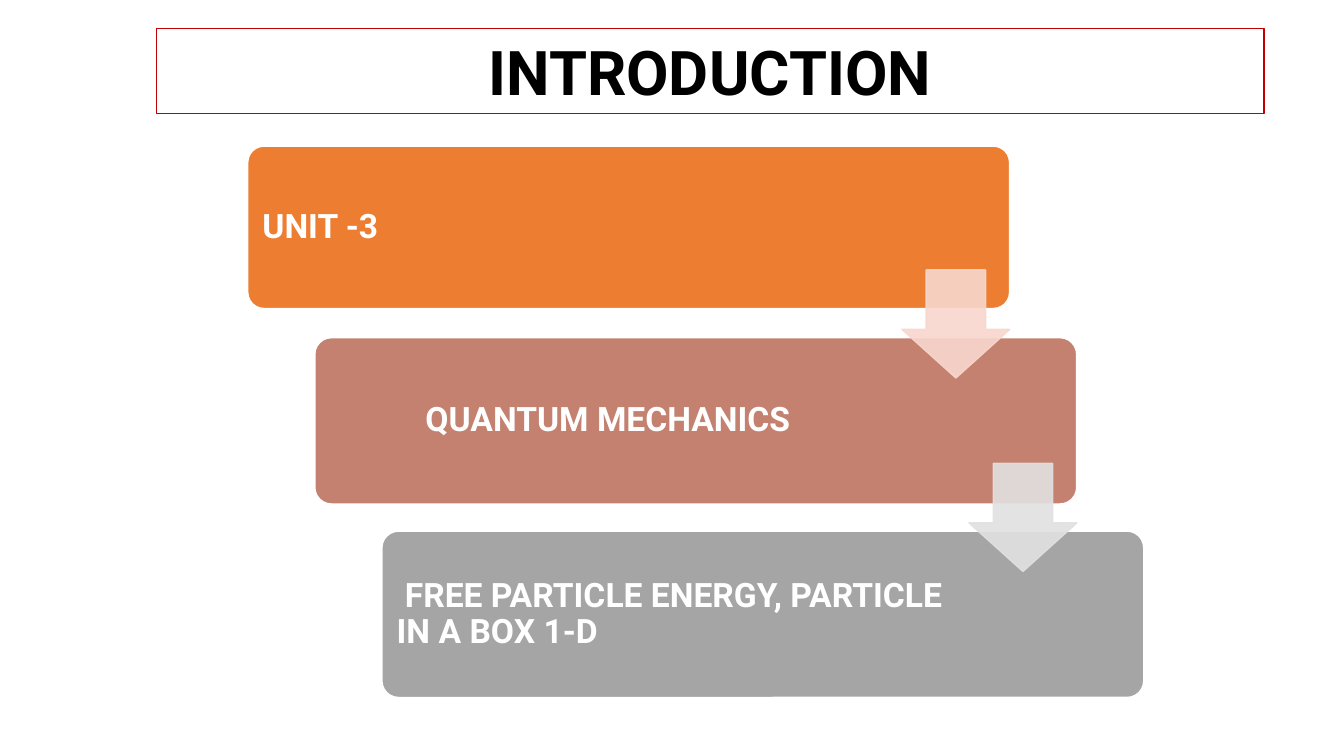
from dataclasses import dataclass

import pptx
import pptx.dml.color
import pptx.enum.shapes
import pptx.enum.text
import pptx.oxml
import pptx.oxml.ns
import pptx.util

Pt = pptx.util.Pt
RGB = pptx.dml.color.RGBColor.from_string
SHAPES = pptx.enum.shapes.MSO_SHAPE
ALIGN = pptx.enum.text.PP_ALIGN
MIDDLE = pptx.enum.text.MSO_ANCHOR.MIDDLE


@dataclass(frozen=True)
class Theme:
    font: str = "Roboto"
    title_size: float = 44
    card_size: float = 24
    title_text: str = "000000"
    title_border: str = "C00000"
    light: str = "FFFFFF"
    orange: str = "ED7D31"
    clay: str = "C48170"
    grey: str = "A5A5A5"
    pale_pink: str = "F8D7CE"
    pale_grey: str = "E1E1E1"


@dataclass(frozen=True)
class Card:
    text: str
    fill: str
    height: float = 118.8
    right_inset: float = 132.6
    align: ALIGN = ALIGN.LEFT
    indent: float = 0


THEME = Theme()
STEP_X, STEP_Y = 47.9, 138.2
CARD_LEFT, CARD_MIDDLE, CARD_WIDTH = 177, 162.4, 544.2
ARROW_LEFT, ARROW_TOP, ARROW_SIZE = 644.2, 192.8, 77.2
CARDS = [
    Card("UNIT -3", THEME.orange, height=116, right_inset=128.2),
    Card("QUANTUM MECHANICS", THEME.clay, align=ALIGN.CENTER),
    Card("FREE PARTICLE ENERGY, PARTICLE IN A BOX 1-D", THEME.grey, indent=5.9),
]
ARROW_COLOURS = [THEME.pale_pink, THEME.pale_grey]


def style_text(p, size: float, colour: str) -> None:
    for r in p.runs:
        r.font.name = THEME.font
        r.font.size = Pt(size)
        r.font.bold = True
        r.font.color.rgb = RGB(colour)


def paint(sp, fill: str, line: str) -> None:
    sp.shadow.inherit = False
    sp.fill.solid()
    sp.fill.fore_color.rgb = RGB(fill)
    sp.line.color.rgb = RGB(line)
    sp.line.width = Pt(1)


def add_title(s, text: str) -> None:
    sp = s.shapes.title
    sp.left, sp.top, sp.width, sp.height = Pt(111.6), Pt(20.2), Pt(791.3), Pt(60.6)
    sp.line.color.rgb = RGB(THEME.title_border)
    sp.line.width = Pt(0.75)
    tf = sp.text_frame
    tf.text = text
    tf.word_wrap = True
    tf.auto_size = pptx.enum.text.MSO_AUTO_SIZE.NONE
    tf.vertical_anchor = MIDDLE
    p = tf.paragraphs[0]
    p.alignment = ALIGN.CENTER
    p.line_spacing = 1.0
    p.space_before = Pt(0)
    style_text(p, THEME.title_size, THEME.title_text)


def add_card(s, card: Card, index: int) -> None:
    top = CARD_MIDDLE + index * STEP_Y - card.height / 2
    sp = s.shapes.add_shape(
        SHAPES.ROUNDED_RECTANGLE, Pt(CARD_LEFT + index * STEP_X), Pt(top),
        Pt(CARD_WIDTH), Pt(card.height))
    sp.adjustments[0] = 0.1
    paint(sp, card.fill, THEME.light)
    tf = sp.text_frame
    tf.text = card.text
    tf.word_wrap = True
    tf.vertical_anchor = MIDDLE
    tf.margin_left = tf.margin_top = tf.margin_bottom = Pt(7.2)
    tf.margin_right = Pt(card.right_inset)
    p = tf.paragraphs[0]
    p.alignment = card.align
    p.line_spacing = 0.9
    if card.indent:
        p._p.get_or_add_pPr().set("indent", str(Pt(card.indent)))
    style_text(p, THEME.card_size, THEME.light)


def add_arrow(s, colour: str, index: int) -> None:
    sp = s.shapes.add_shape(
        SHAPES.DOWN_ARROW, Pt(ARROW_LEFT + index * STEP_X),
        Pt(ARROW_TOP + index * STEP_Y), Pt(ARROW_SIZE), Pt(ARROW_SIZE))
    sp.adjustments[0] = 0.55
    sp.adjustments[1] = 0.45
    paint(sp, colour, colour)
    for clr in sp._element.spPr.iter(pptx.oxml.ns.qn("a:srgbClr")):
        alpha = pptx.oxml.parse_xml(
            f'<a:alpha {pptx.oxml.ns.nsdecls("a")} val="90000"/>')
        clr.append(alpha)


def main() -> None:
    prs = pptx.Presentation()
    prs.slide_width, prs.slide_height = Pt(960), Pt(540)
    s = prs.slides.add_slide(prs.slide_layouts.get_by_name("Title Only"))
    add_title(s, "INTRODUCTION")
    for index, card in enumerate(CARDS):
        add_card(s, card, index)
    for index, colour in enumerate(ARROW_COLOURS):
        add_arrow(s, colour, index)
    prs.save("out.pptx")


if __name__ == "__main__":
    main()
